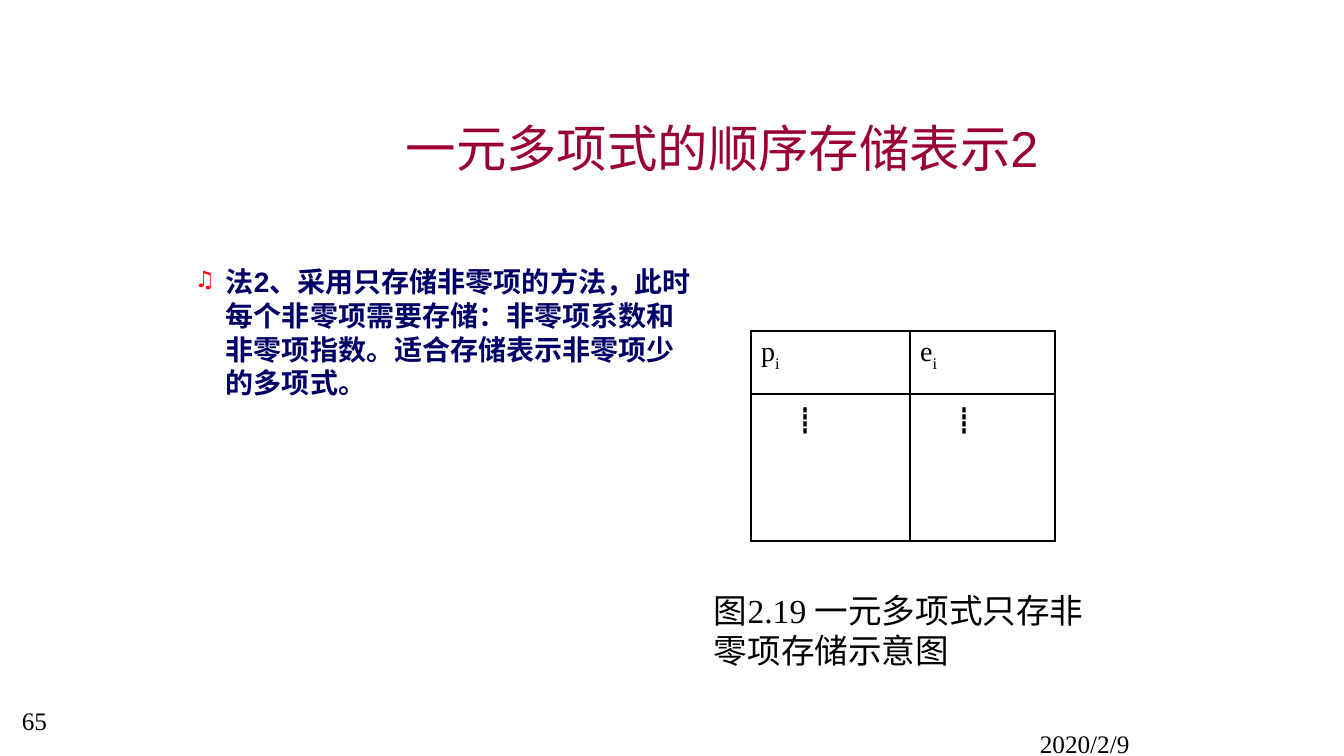
import pptx
import pptx.util
import pptx.dml.color
import pptx.enum.text
from dataclasses import dataclass
from lxml import etree

TITLE = "一元多项式的顺序存储表示2"
METHOD = "法2、采用只存储非零项的方法，此时每个非零项需要存储：非零项系数和非零项指数。适合存储表示非零项少的多项式。"
CAPTION = "图2.19 一元多项式只存非零项存储示意图"
DATE = "2020/2/9"
PAGE = "65"
# Each cell is (text, subscript)
TERMS = [[("p", "i"), ("e", "i")], [("┋", ""), ("┋", "")]]

TITLE_BOX = (134, 84, 1176, 126)
METHOD_BOX = (134, 260, 577, 411)
CAPTION_BOX = (704, 585, 420, 92)
DATE_BOX = (1030, 723, 280, 33)
PAGE_BOX = (12, 700, 87, 53)
TABLE_LEFT, TABLE_TOP = 751, 331
COLUMNS = [159, 145]
ROWS = [63, 147]


@dataclass(frozen=True)
class Theme:
    sans: str = "Arial"
    serif: str = "Times New Roman"
    symbol: str = "Noto Sans CJK SC"
    title: str = "990033"
    body: str = "000066"
    ink: str = "000000"
    bullet: str = "FF0000"
    title_size: int = 36
    caption_size: int = 24
    body_size: int = 20
    footer_size: int = 18


THEME = Theme()
NAMESPACE = "http://schemas.openxmlformats.org/drawingml/2006/main"


def px(length):
    return pptx.util.Emu(round(length * 914400 / 100.8))


def add_element(parent, tag, **attributes):
    return etree.SubElement(parent, f"{{{NAMESPACE}}}{tag}", attributes)


def set_font(font, name, size, color, bold=False):
    font.name = name
    font.size = pptx.util.Pt(size)
    font.color.rgb = pptx.dml.color.RGBColor.from_string(color)
    font.bold = bold


def set_indent(paragraph, margin, indent):
    properties = paragraph._p.get_or_add_pPr()
    properties.set("marL", str(px(margin)))
    properties.set("indent", str(px(indent)))
    return properties


def add_text(slide, box, text):
    frame = slide.shapes.add_textbox(*map(px, box)).text_frame
    frame.word_wrap = True
    frame.text = text
    return frame


def add_bullet(paragraph):
    properties = set_indent(paragraph, 82, -31)
    color = add_element(properties, "buClr")
    add_element(color, "srgbClr", val=THEME.bullet)
    add_element(properties, "buSzPct", val="80000")
    add_element(properties, "buChar", char="♫")


def draw_borders(cell):
    properties = cell._tc.get_or_add_tcPr()
    for position, side in enumerate(("lnL", "lnR", "lnT", "lnB")):
        line = add_element(properties, side, w="12700")
        fill = add_element(line, "solidFill")
        add_element(fill, "srgbClr", val=THEME.ink)
        properties.insert(position, line)


def fill_cell(cell, text, subscript):
    cell.fill.background()
    draw_borders(cell)
    paragraph = cell.text_frame.paragraphs[0]
    set_indent(paragraph, 38, -38 if subscript else -8)
    font_name = THEME.serif if subscript else THEME.symbol
    set_font(paragraph.font, font_name, THEME.body_size, THEME.ink)
    paragraph.add_run().text = text
    if subscript:
        run = paragraph.add_run()
        run.text = subscript
        run._r.get_or_add_rPr().set("baseline", "-30000")


def add_term_table(slide):
    table = slide.shapes.add_table(
        len(ROWS), len(COLUMNS), px(TABLE_LEFT), px(TABLE_TOP),
        px(sum(COLUMNS)), px(sum(ROWS))).table
    table.first_row = table.horz_banding = False
    for column, width in zip(table.columns, COLUMNS):
        column.width = px(width)
    for row, height, terms in zip(table.rows, ROWS, TERMS):
        row.height = px(height)
        for cell, term in zip(row.cells, terms):
            fill_cell(cell, *term)


def main():
    presentation = pptx.Presentation()
    presentation.slide_width, presentation.slide_height = px(1344), px(756)
    slide = presentation.slides.add_slide(presentation.slide_layouts[6])

    title = add_text(slide, TITLE_BOX, TITLE)
    title.vertical_anchor = pptx.enum.text.MSO_ANCHOR.MIDDLE
    title.paragraphs[0].alignment = pptx.enum.text.PP_ALIGN.CENTER
    set_font(title.paragraphs[0].font, THEME.sans, THEME.title_size, THEME.title)

    method = add_text(slide, METHOD_BOX, METHOD).paragraphs[0]
    add_bullet(method)
    set_font(method.font, THEME.sans, THEME.body_size, THEME.body, bold=True)

    add_term_table(slide)

    for box, text, size in (
        (DATE_BOX, DATE, THEME.footer_size),
        (PAGE_BOX, PAGE, THEME.footer_size),
        (CAPTION_BOX, CAPTION, THEME.caption_size),
    ):
        paragraph = add_text(slide, box, text).paragraphs[0]
        set_font(paragraph.font, THEME.serif, size, THEME.ink)

    presentation.save("out.pptx")


if __name__ == "__main__":
    main()
